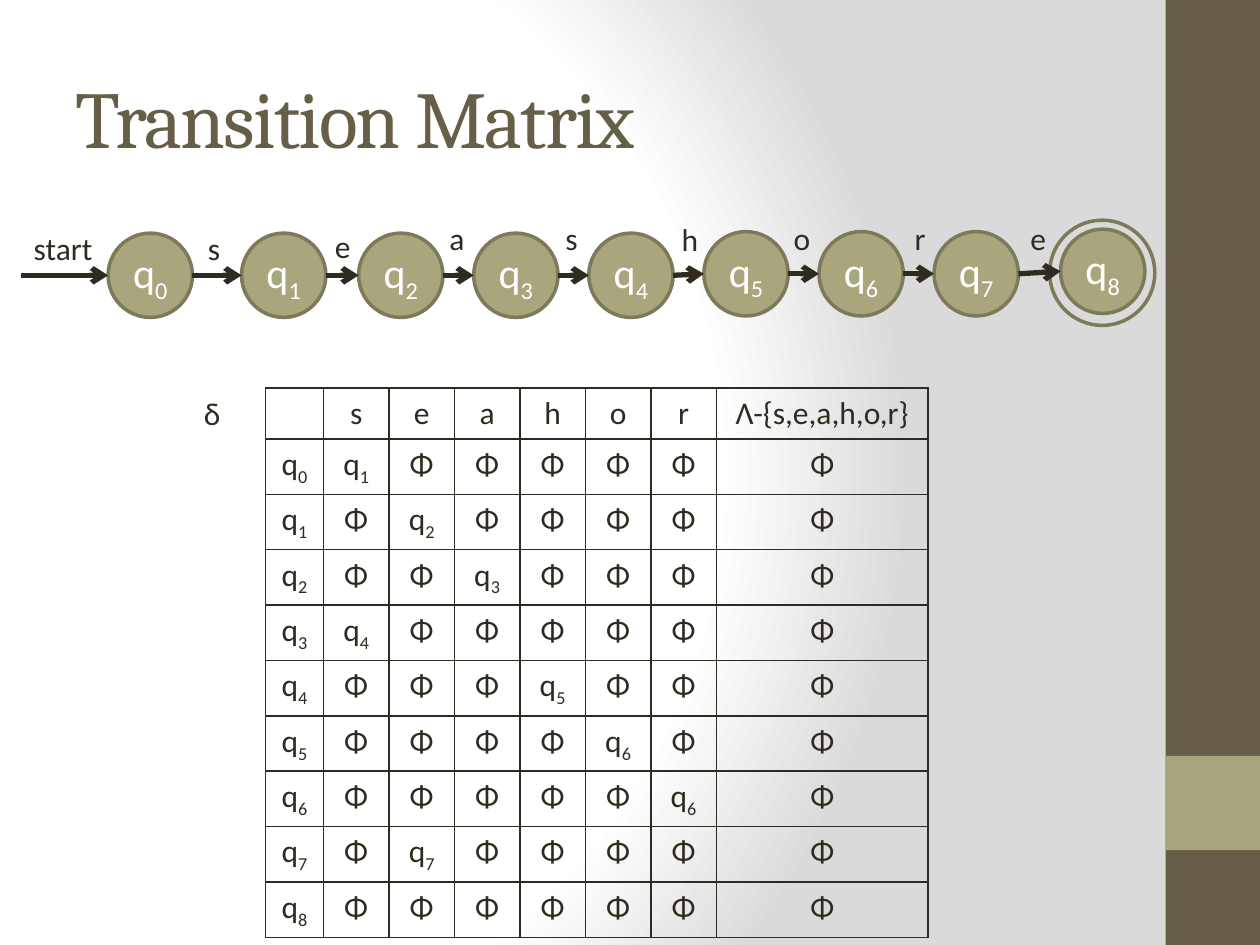
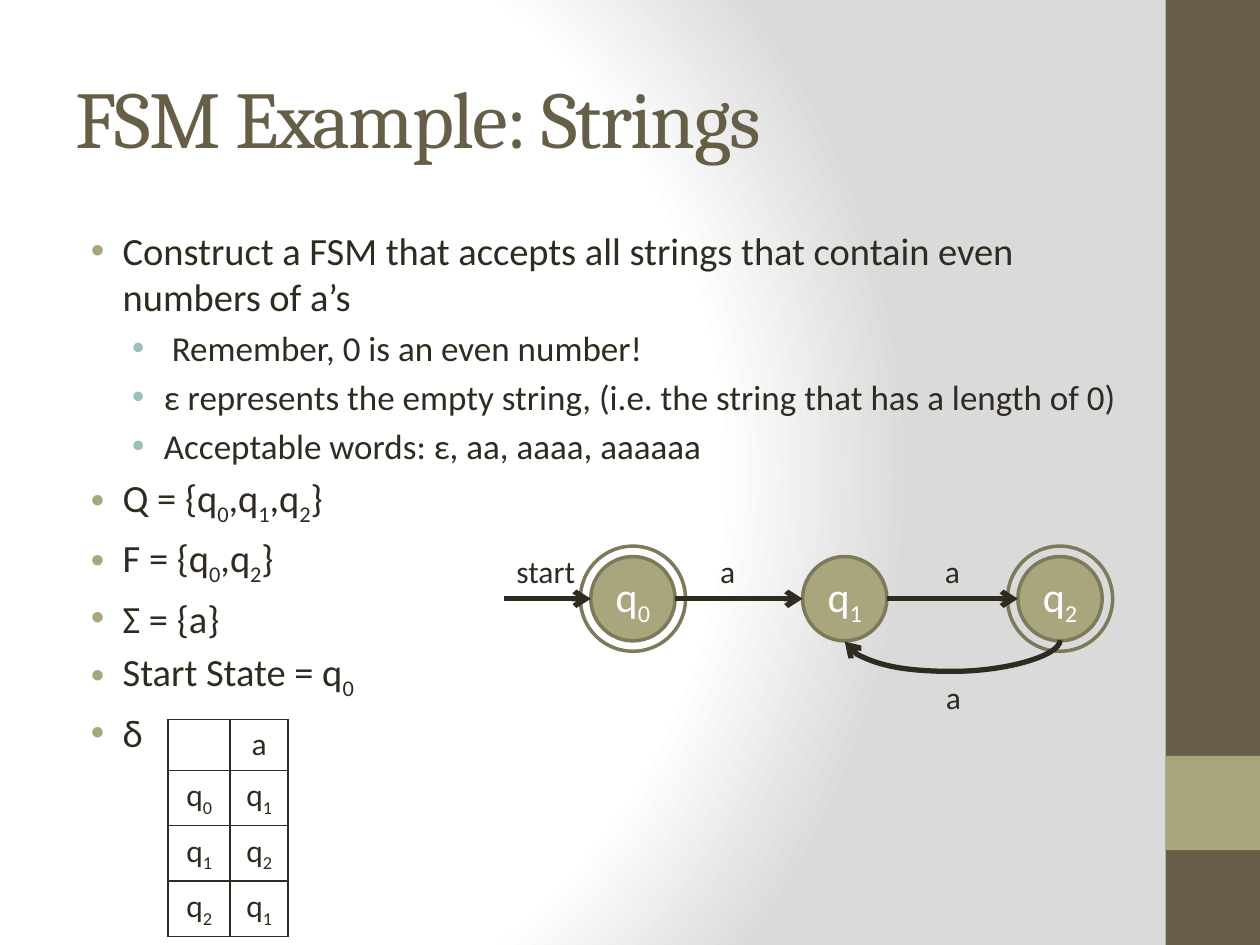
from itertools import pairwise

from pptx import Presentation
from pptx.dml.color import RGBColor
from pptx.enum.shapes import MSO_CONNECTOR, MSO_SHAPE
from pptx.enum.text import MSO_ANCHOR, MSO_AUTO_SIZE, PP_ALIGN
from pptx.oxml import parse_xml
from pptx.oxml.ns import nsdecls
from pptx.util import Cm, Pt

BROWN, OLIVE, OUTLINE = "675E47", "A9A57C", "7D7A5C"
INK, WHITE, TEAL, GREY = "2F2B20", "FFFFFF", "9CBEBD", "DADADA"
HEADING_FONT, BODY_FONT = "Cambria", "Calibri"
RADIUS, RING_RADIUS = 0.85, 1.06
LABEL_WIDTHS = {"start": 1.7, "s": 0.76, "e": 0.84, "a": 0.81, "h": 0.86,
                "o": 0.86, "r": 0.74, "δ": 0.84}
EMPTY_SET = "Φ"


def colour(value):
    """Turn a hex string into a colour."""
    return RGBColor.from_string(value)


def apply(target, **values):
    """Set each named value as an attribute of the target."""
    for name, value in values.items():
        setattr(target, name, value)


def place(shape, left, top, width, height):
    """Move and size a shape, in centimetres."""
    apply(shape, left=Cm(left), top=Cm(top), width=Cm(width), height=Cm(height))


def write(para, text, size, hue=INK, font=BODY_FONT, spacing=None):
    """Write text in which the character after each _ is a subscript."""
    first, *rest = text.split("_")
    pieces = [(first, False)]
    for part in rest:
        pieces += [(part[0], True), (part[1:], False)]
    for piece, lowered in pieces:
        if not piece:
            continue
        span = para.add_run()
        span.text = piece
        apply(span.font, size=Pt(size), name=font)
        span.font.color.rgb = colour(hue)
        properties = span._r.get_or_add_rPr()
        if lowered:
            properties.set("baseline", "-25000")
        if spacing:
            properties.set("spc", str(spacing))


def add_band(page, left, top, width, height, hue):
    """Add a plain rectangle without outline."""
    band = page.shapes.add_shape(
        MSO_SHAPE.RECTANGLE, Cm(left), Cm(top), Cm(width), Cm(height))
    band.shadow.inherit = False
    band.fill.solid()
    band.fill.fore_color.rgb = colour(hue)
    band.line.fill.background()
    return band


def style_master(deck, page):
    """Give the master its gradient background and its two side bands."""
    master = deck.slide_master
    stops = "".join(
        f'<a:gs pos="{place_}"><a:srgbClr val="{hue}"/></a:gs>'
        for place_, hue in ((0, WHITE), (75000, WHITE), (100000, GREY)))
    content = master.element.cSld
    for old in content.xpath("p:bg"):
        content.remove(old)
    content.insert(0, parse_xml(
        f'<p:bg {nsdecls("p", "a")}><p:bgPr><a:gradFill rotWithShape="1">'
        f'<a:gsLst>{stops}</a:gsLst><a:path path="circle">'
        '<a:fillToRect l="20000" t="50000" r="100000" b="50000"/></a:path>'
        '</a:gradFill><a:effectLst/></p:bgPr></p:bg>'))
    bands = [add_band(page, 23.5, 0, 1.9, 19.05, BROWN),
             add_band(page, 23.5, 15.24, 1.9, 1.9, OLIVE)]
    for number, band in enumerate(bands, 101):
        band.element.xpath(".//p:cNvPr")[0].set("id", str(number))
        master.shapes.element.append(band.element)


def set_title(page, text):
    """Fill the title placeholder."""
    title = page.shapes.title
    place(title, 1.27, 0.76, 21.17, 3.18)
    apply(title.text_frame, auto_size=MSO_AUTO_SIZE.NONE, word_wrap=True,
          vertical_anchor=MSO_ANCHOR.MIDDLE)
    para = title.text_frame.paragraphs[0]
    para.alignment = PP_ALIGN.LEFT
    write(para, text, 46, BROWN, HEADING_FONT, spacing=-100)


def set_bullets(page, items):
    """Fill the body placeholder with (level, text) items."""
    body = page.placeholders[1]
    place(body, 1.27, 4.45, 22.01, 13.34)
    frame = body.text_frame
    frame.auto_size = MSO_AUTO_SIZE.NONE
    styles = ((0.95, OLIVE, 22), (1.78, TEAL, 20))
    for index, (level, text) in enumerate(items):
        indent, hue, size = styles[level]
        para = frame.add_paragraph() if index else frame.paragraphs[0]
        para.level = level
        properties = para._p.get_or_add_pPr()
        properties.set("marL", str(Cm(indent)))
        properties.set("indent", str(Cm(-0.64)))
        for bullet in (f'<a:buClr {nsdecls("a")}><a:srgbClr val="{hue}"/></a:buClr>',
                       f'<a:buFont {nsdecls("a")} typeface="Arial"/>',
                       f'<a:buChar {nsdecls("a")} char="•"/>'):
            properties.append(parse_xml(bullet))
        write(para, text, size)


def add_circle(page, x, y, radius):
    """Add an unfilled outlined circle around a centre."""
    circle = page.shapes.add_shape(
        MSO_SHAPE.OVAL, Cm(x - radius), Cm(y - radius), Cm(2 * radius), Cm(2 * radius))
    circle.shadow.inherit = False
    circle.fill.background()
    circle.line.color.rgb = colour(OUTLINE)
    circle.line.width = Pt(2)
    return circle


def add_state(page, number, x, y):
    """Add a filled state circle named q with its number."""
    state = add_circle(page, x, y, RADIUS)
    state.fill.solid()
    state.fill.fore_color.rgb = colour(OLIVE)
    apply(state.text_frame, margin_left=0, margin_right=0, margin_top=0,
          margin_bottom=0, vertical_anchor=MSO_ANCHOR.MIDDLE)
    para = state.text_frame.paragraphs[0]
    para.alignment = PP_ALIGN.CENTER
    write(para, f"q_{number}", 24, WHITE)


def add_arrow(page, start, end, kind=MSO_CONNECTOR.STRAIGHT):
    """Add a connector with an open arrowhead at its end."""
    arrow = page.shapes.add_connector(kind, *(Cm(value) for value in (*start, *end)))
    arrow.line.color.rgb = colour(INK)
    arrow.line.width = Pt(3)
    arrow.line._get_or_add_ln().append(
        parse_xml(f'<a:tailEnd {nsdecls("a")} type="arrow"/>'))
    arrow.element.spPr.append(parse_xml(f'<a:effectLst {nsdecls("a")}/>'))
    return arrow


def add_return_arrow(page, right, left, y, depth):
    """Add a curve that leaves one state, dips and returns to another."""
    drop, middle, half = 0.03, (left + right) / 2, (right - left) / 2
    arrow = add_arrow(page, (middle - drop / 2, y - half),
                      (middle + drop / 2, y + half), MSO_CONNECTOR.CURVE)
    arrow.element.spPr.xpath("a:xfrm")[0].set("rot", "5400000")
    guides = arrow.element.spPr.xpath("a:prstGeom/a:avLst")[0]
    bend = round(depth / drop * 100000)
    guides.append(parse_xml(f'<a:gd {nsdecls("a")} name="adj1" fmla="val {bend}"/>'))


def add_label(page, text, left, top):
    """Add a short unwrapped label."""
    box = page.shapes.add_textbox(
        Cm(left), Cm(top), Cm(LABEL_WIDTHS[text]), Cm(1.02))
    apply(box.text_frame, word_wrap=False, auto_size=MSO_AUTO_SIZE.SHAPE_TO_FIT_TEXT)
    write(box.text_frame.paragraphs[0], text, 18)


def add_chain(page, entry, centres, accepting, labels):
    """Draw states in a row, joined by arrows, with rings and labels."""
    for x, y in accepting:
        add_circle(page, x, y, RING_RADIUS)
    for number, (x, y) in enumerate(centres):
        add_state(page, number, x, y)
    first_x, first_y = centres[0]
    add_arrow(page, (entry, first_y), (first_x - RADIUS, first_y))
    for (x, y), (next_x, next_y) in pairwise(centres):
        add_arrow(page, (x + RADIUS, y), (next_x - RADIUS, next_y))
    for label in labels:
        add_label(page, *label)


def add_borders(cell):
    """Draw thin lines on all four sides of a cell."""
    properties = cell._tc.get_or_add_tcPr()
    for index, side in enumerate(("lnL", "lnR", "lnT", "lnB")):
        properties.insert(index, parse_xml(
            f'<a:{side} {nsdecls("a")} w="{Pt(1)}"><a:solidFill>'
            f'<a:srgbClr val="{INK}"/></a:solidFill></a:{side}>'))


def add_matrix(page, left, top, widths, heights, rows):
    """Add a bordered table of centred text."""
    table = page.shapes.add_table(
        len(rows), len(widths), Cm(left), Cm(top),
        Cm(sum(widths)), Cm(sum(heights))).table
    apply(table, first_row=False, horz_banding=False)
    for column, width in zip(table.columns, widths):
        column.width = Cm(width)
    for line, height, texts in zip(table.rows, heights, rows):
        line.height = Cm(height)
        for cell, text in zip(line.cells, texts):
            cell.fill.background()
            add_borders(cell)
            para = cell.text_frame.paragraphs[0]
            para.alignment = PP_ALIGN.CENTER
            write(para, text, 18)


def build_matrix_page(page):
    """Show the nine-state chain and its transition matrix."""
    set_title(page, "Transition Matrix")
    letters = "seahor"
    moves = [("s", 1), ("e", 2), ("a", 3), ("s", 4), ("h", 5),
             ("o", 6), ("r", 6), ("e", 7), (None, None)]
    rows = [["", *letters, "Λ-{s,e,a,h,o,r}"]]
    for state, (symbol, target) in enumerate(moves):
        cells = [f"q_{target}" if letter == symbol else EMPTY_SET for letter in letters]
        rows.append([f"q_{state}", *cells, EMPTY_SET])
    add_matrix(page, 5.35, 7.82, [1.17] + [1.32] * 6 + [4.27],
               [0.97] + [1.03] * 9, rows)
    xs = [3.03, 5.72] + [8.08 + 2.32 * step for step in range(6)] + [22.23]
    ys = [5.55] * 5 + [5.52] * 3 + [5.47]
    labels = [("start", 0.43, 4.5), ("s", 3.94, 4.5), ("e", 6.5, 4.45),
              ("a", 8.81, 4.29), ("s", 11.15, 4.29), ("h", 13.49, 4.32),
              ("o", 15.75, 4.29), ("r", 18.19, 4.29), ("e", 20.52, 4.29),
              ("δ", 3.86, 7.82)]
    add_chain(page, 0.43, list(zip(xs, ys)), [(22.22, 5.5)], labels)


def build_strings_page(page):
    """Show the even-number-of-a's machine."""
    set_title(page, "FSM Example: Strings")
    set_bullets(page, [
        (0, "Construct a FSM that accepts all strings that contain even numbers of a’s"),
        (1, " Remember, 0 is an even number!"),
        (1, "ε represents the empty string, (i.e. the string that has a length of 0)"),
        (1, "Acceptable words: ε, aa, aaaa, aaaaaa"),
        (0, "Q = {q_0,q_1,q_2}"),
        (0, "F = {q_0,q_2}"),
        (0, "Σ = {a}"),
        (0, "Start State = q_0"),
        (0, "δ"),
    ])
    add_matrix(page, 3.39, 14.5, [1.25, 1.17], [1.03] * 4,
               [("", "a"), ("q_0", "q_1"), ("q_1", "q_2"), ("q_2", "q_1")])
    centres = [(x, 12.07) for x in (12.76, 17.03, 21.37)]
    labels = [("start", 10.16, 11), ("a", 14.27, 11), ("a", 18.8, 11),
              ("a", 18.82, 13.54)]
    add_chain(page, 10.16, centres, [centres[0], centres[2]], labels)
    add_return_arrow(page, 21.37, 17.03, 12.92, 0.63)


def main():
    """Build the deck and save it."""
    deck = Presentation()
    apply(deck, slide_width=Cm(25.4), slide_height=Cm(19.05))
    title_only, title_and_body = deck.slide_layouts[5], deck.slide_layouts[1]
    matrix_page = deck.slides.add_slide(title_only)
    style_master(deck, matrix_page)
    build_matrix_page(matrix_page)
    build_strings_page(deck.slides.add_slide(title_and_body))
    deck.save("out.pptx")


main()
